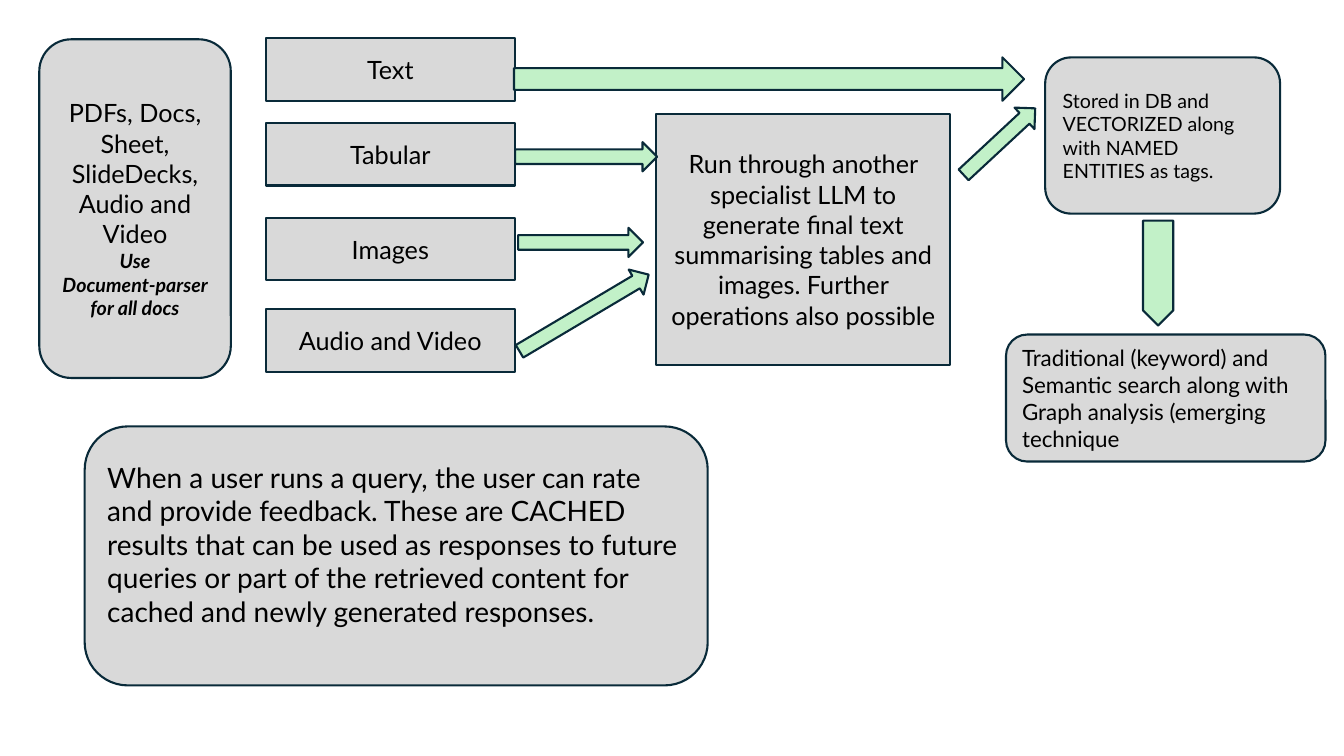
from pptx import Presentation
from pptx.dml.color import RGBColor
from pptx.enum.shapes import MSO_SHAPE
from pptx.enum.text import MSO_ANCHOR, PP_ALIGN
from pptx.util import Pt

PROCESS = MSO_SHAPE.FLOWCHART_PROCESS
ROUND = MSO_SHAPE.ROUNDED_RECTANGLE
ARROW = MSO_SHAPE.RIGHT_ARROW
LEFT, CENTER = PP_ALIGN.LEFT, PP_ALIGN.CENTER
MIDDLE = MSO_ANCHOR.MIDDLE
GRAY = RGBColor(0xD9, 0xD9, 0xD9)
GREEN = RGBColor(0xC2, 0xF1, 0xC8)
NAVY = RGBColor(0x09, 0x2A, 0x39)
BLACK = RGBColor(0, 0, 0)
FONT = "Lato"

# Content types: label, top
TYPES = [("Text", 27.4), ("Tabular", 87.8), ("Images", 155.5),
         ("Audio and Video", 221)]
TYPE_LEFT, TYPE_WIDTH, TYPE_HEIGHT = 190, 177.6, 44.7

# Boxes: kind, (left, top, width, height), alignment, bottom inset,
# paragraphs of (text, size, emphasis)
BOXES = [
    (ROUND, (28.1, 28.1, 136.8, 241.9), CENTER, 3.6, [
        ("PDFs, Docs, Sheet, SlideDecks, Audio and Video", 18, False),
        ("Use", 14, True),
        ("Document-parser for all docs", 14, True)]),
    (ROUND, (746.6, 41, 167.8, 111.6), LEFT, 3.6, [
        ("Stored in DB and VECTORIZED along with NAMED ENTITIES as tags.",
         14, False)]),
    (ROUND, (718.6, 239, 228.2, 90.7), LEFT, 3.6, [
        ("Traditional (keyword) and Semantic search along with Graph "
         "analysis (emerging technique", 16, False)]),
    (PROCESS, (468.7, 81.4, 210.2, 179.3), CENTER, 3.6, [
        ("Run through another specialist LLM to generate final text "
         "summarising tables and images. Further operations also possible",
         18, False)]),
    (ROUND, (60.5, 304.6, 445, 185), LEFT, 20.4, [
        ("When a user runs a query, the user can rate and provide feedback. "
         "These are CACHED results that can be used as responses to future "
         "queries or part of the retrieved content for cached and newly "
         "generated responses.", 20, False)]),
]

# Arrows: (left, top, width, height), rotation, shaft share
ARROWS = [
    ((367.2, 41, 364.3, 31), 0, 0.5),
    ((367.9, 101.5, 101.5, 20.9), 0, 0.5),
    ((370.1, 162.7, 89.3, 20.9), 0, 0.5),
    ((363.6, 213.1, 107.3, 20.9), 329.3, 0.5),
    ((679, 90.7, 69.8, 20.9), 317.1, 0.5),
    ((789.8, 184.3, 74.9, 21.6), 90, 1),
]


def add_shape(slide, kind, place, color):
    shape = slide.shapes.add_shape(kind, *map(Pt, place))
    shape.shadow.inherit = False
    shape.fill.solid()
    shape.fill.fore_color.rgb = color
    shape.line.color.rgb = NAVY
    shape.line.width = Pt(1.5)
    return shape


def add_box(slide, kind, place, align, bottom, paras):
    frame = add_shape(slide, kind, place, GRAY).text_frame
    frame.word_wrap = True
    frame.vertical_anchor = MIDDLE
    frame.margin_bottom = Pt(bottom)
    for i, (text, size, strong) in enumerate(paras):
        para = frame.add_paragraph() if i else frame.paragraphs[0]
        para.alignment = align
        run = para.add_run()
        run.text = text
        font = run.font
        font.name, font.size = FONT, Pt(size)
        font.bold = font.italic = strong
        font.color.rgb = BLACK


def main():
    deck = Presentation()
    deck.slide_width, deck.slide_height = Pt(960), Pt(540)
    slide = deck.slides.add_slide(deck.slide_layouts[6])
    for label, top in TYPES:
        place = (TYPE_LEFT, top, TYPE_WIDTH, TYPE_HEIGHT)
        add_box(slide, PROCESS, place, CENTER, 3.6, [(label, 18, False)])
    for box in BOXES:
        add_box(slide, *box)
    for place, turn, shaft in ARROWS:
        arrow = add_shape(slide, ARROW, place, GREEN)
        arrow.rotation = turn
        arrow.adjustments[0] = shaft
    deck.save("out.pptx")


if __name__ == "__main__":
    main()
